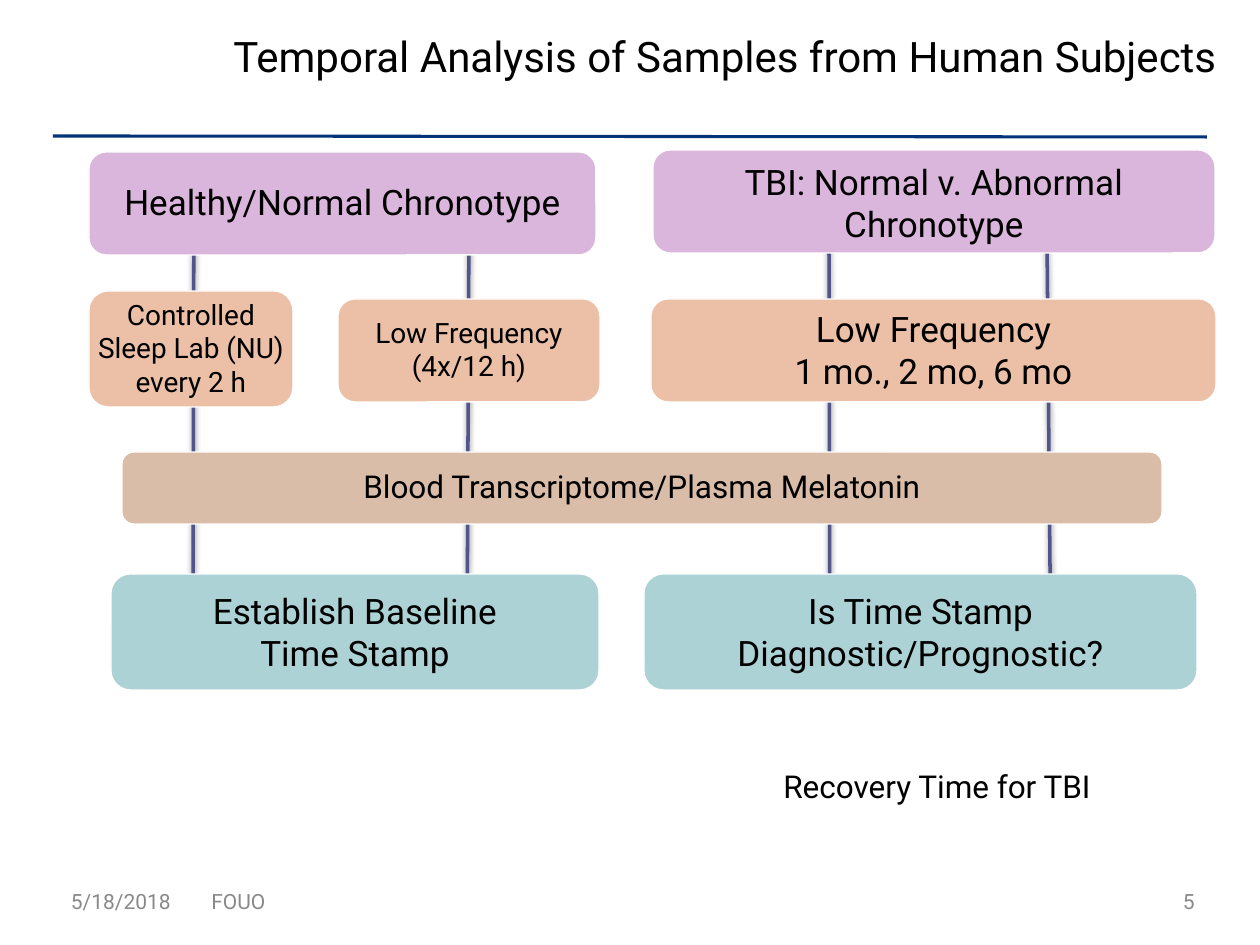
from lxml.etree import SubElement
from pptx import Presentation
from pptx.dml.color import RGBColor
from pptx.enum.shapes import MSO_CONNECTOR, MSO_SHAPE
from pptx.enum.text import MSO_ANCHOR, PP_ALIGN
from pptx.oxml import parse_xml
from pptx.oxml.ns import nsdecls, qn
from pptx.util import Emu, Pt

FONT = "Roboto"
BLACK = RGBColor(0x00, 0x00, 0x00)
WHITE = RGBColor(0xFF, 0xFF, 0xFF)
GRAY = RGBColor(0x89, 0x89, 0x89)
NAVY = RGBColor(0x00, 0x33, 0x78)
INDIGO = RGBColor(0x53, 0x54, 0x8A)
LILAC = RGBColor(0xDB, 0xB6, 0xDC)
PEACH = RGBColor(0xEB, 0xC0, 0xA7)
TAN = RGBColor(0xD9, 0xBD, 0xA9)
TEAL = RGBColor(0xAD, 0xD2, 0xD6)

SHADOW = (
    f'<a:effectLst {nsdecls("a")}><a:outerShdw blurRad="{Pt(3.1)}" '
    f'dist="{Pt(1.6)}" dir="5400000" rotWithShape="0"><a:srgbClr val="000000">'
    '<a:alpha val="38000"/></a:srgbClr></a:outerShdw></a:effectLst>'
)

# box, inset of the label, fill, text size, lines
CARDS = [
    ((89, 152, 507, 103), (9, 22), LILAC, 20, ["Healthy/Normal Chronotype"]),
    ((653, 150, 562, 103), (11, 4), LILAC, 20, ["TBI: Normal v. Abnormal Chronotype"]),
    ((89, 291, 204, 116), (-4, 0), PEACH, 16, ["Controlled Sleep Lab (NU) every 2 h"]),
    ((338, 299, 262, 103), (10, 10), PEACH, 16, ["Low Frequency (4x/12 h)"]),
    ((651, 299, 565, 103), (15, 2), PEACH, 20, ["Low Frequency", "1 mo., 2 mo, 6 mo"]),
    ((122, 452, 1040, 72), (11, 9), TAN, 18, ["Blood Transcriptome/Plasma Melatonin"]),
    ((111, 574, 488, 116), (20, 9), TEAL, 20, ["Establish Baseline", "Time Stamp"]),
    ((644, 574, 553, 116), (15, 9), TEAL, 20, ["Is Time Stamp Diagnostic/Prognostic?"]),
]
LINKS = [
    (469, 222, 467, 662),
    (829, 238, 830, 675),
    (1047, 238, 1051, 669),
    (194, 176, 193, 609),
]


def px(n):
    return Emu(round(n * 914400 / 126))


def text(slide, box, lines, size, color=BLACK, align=PP_ALIGN.LEFT,
         anchor=MSO_ANCHOR.TOP, wrap=True):
    frame = slide.shapes.add_textbox(*map(px, box)).text_frame
    frame.word_wrap = wrap
    frame.vertical_anchor = anchor
    frame.text = "\n".join(lines)
    for para in frame.paragraphs:
        para.alignment = align
        para.font.name = FONT
        para.font.size = Pt(size)
        para.font.color.rgb = color


def line(slide, ends, color, width, shadow=False):
    link = slide.shapes.add_connector(MSO_CONNECTOR.STRAIGHT, *map(px, ends))
    link.line.color.rgb = color
    link.line.width = Pt(width)
    props = link._element.spPr
    if shadow:
        props.append(parse_xml(SHADOW))
    else:
        SubElement(props, qn("a:effectLst"))


def card(slide, box, inset, fill, size, lines):
    """Draw a rounded box with a centred label inset from its edges."""
    shape = slide.shapes.add_shape(MSO_SHAPE.ROUNDED_RECTANGLE, *map(px, box))
    shape.shadow.inherit = False
    shape.fill.solid()
    shape.fill.fore_color.rgb = fill
    shape.line.color.rgb = WHITE
    shape.line.width = Pt(0.75)
    x, y, w, h = box
    dx, dy = inset
    text(slide, (x + dx, y + dy, w - 2 * dx, h - 2 * dy), lines, size,
         align=PP_ALIGN.CENTER)


def header(slide, box):
    x, y, w, h = box
    line(slide, (x, y + h - 1, x + w, y + h), NAVY, 1.75)
    text(slide, (x + 168, y, 1024, 103),
         ["Temporal Analysis of Samples from Human Subjects"], 24,
         anchor=MSO_ANCHOR.MIDDLE)


def flow(slide):
    for ends in LINKS:
        line(slide, ends, INDIGO, 2, shadow=True)
    for item in CARDS:
        card(slide, *item)
    text(slide, (771, 761, 340, 50), ["Recovery Time for TBI"], 18, wrap=False)


def footer(slide, box):
    x, y, w, h = box
    parts = [
        (0, 136, "5/18/2018", PP_ALIGN.CENTER),
        (146, 892, "FOUO", PP_ALIGN.LEFT),
        (w - 105, 105, "5", PP_ALIGN.RIGHT),
    ]
    for dx, wide, words, align in parts:
        text(slide, (x + dx, y, wide, h), [words], 12, GRAY, align,
             MSO_ANCHOR.MIDDLE)


def main():
    deck = Presentation()
    deck.slide_width, deck.slide_height = px(1260), px(945)
    slide = deck.slides.add_slide(deck.slide_layouts[6])
    header(slide, (53, 4, 1154, 133))
    flow(slide)
    footer(slide, (53, 876, 1154, 50))
    deck.save("out.pptx")


if __name__ == "__main__":
    main()
